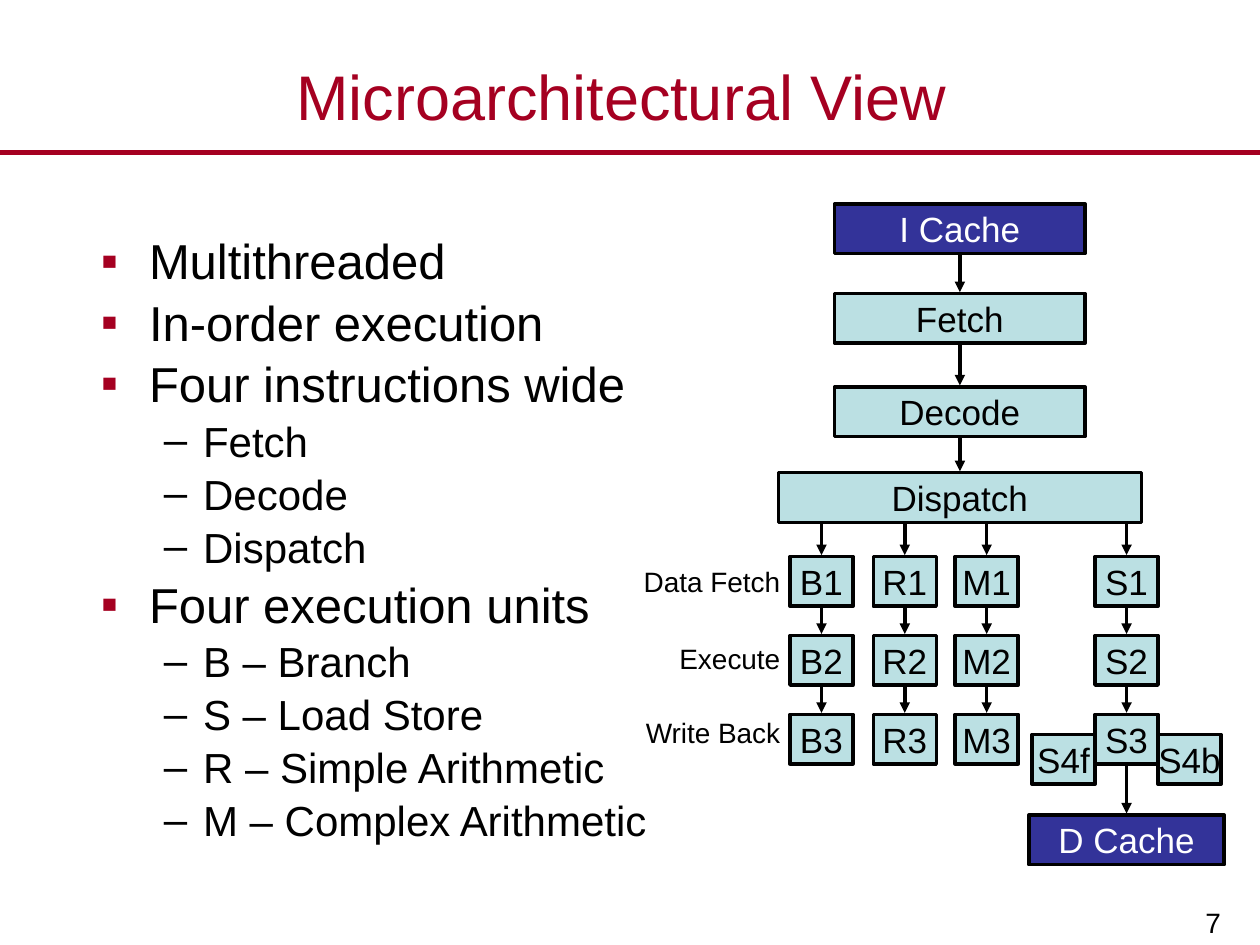
from lxml import etree
from pptx import Presentation
from pptx.dml.color import RGBColor
from pptx.enum.shapes import MSO_CONNECTOR, MSO_SHAPE
from pptx.enum.text import MSO_ANCHOR, MSO_AUTO_SIZE, PP_ALIGN
from pptx.oxml.ns import qn
from pptx.util import Cm, Pt

# Content
TITLE = "Microarchitectural View "
BULLETS = [
    (0, "Multithreaded"), (0, "In-order execution"), (0, "Four instructions wide"),
    (1, "Fetch"), (1, "Decode"), (1, "Dispatch"),
    (0, "Four execution units"),
    (1, "B – Branch"), (1, "S – Load Store"),
    (1, "R – Simple Arithmetic"), (1, "M – Complex Arithmetic"),
]
PAGE_NUMBER = "7"
COLORS = {"red": "A50021", "black": "000000", "white": "FFFFFF",
          "cache": "333399", "stage": "BBE0E3"}
LEVELS = [  # format of each list level, lengths in cm
    {"size": 28, "bullet": "▪", "color": "red", "margin": 0.97, "indent": -0.97},
    {"size": 24, "bullet": "–", "color": "black", "margin": 2.06, "indent": -0.79},
]

# Diagram, lengths in cm
BOX_HEIGHT = 1.0
ARROW_GAP = 0.03
FRONT_CENTER = 19.35
FRONT_STAGES = [  # text, top, width, fill
    ("I Cache", 4.11, 5.05, "cache"), ("Fetch", 5.92, 5.05, "stage"),
    ("Decode", 7.8, 5.05, "stage"), ("Dispatch", 9.53, 7.32, "stage"),
]
UNIT_CENTERS = {"B": 16.56, "R": 18.24, "M": 19.89, "S": 22.71}
UNIT_WIDTH = 1.27
UNIT_TOPS = [11.22 + 1.59 * row for row in range(3)]
STAGE_LABELS = [("Data Fetch", 11.35), ("Execute", 12.9), ("Write Back", 14.4)]
SIDE_BOXES = [("S4f", -1), ("S4b", 1)]
SIDE_TOP = 14.81
DATA_CACHE_TOP = 16.43


def rgb(name):
    return RGBColor.from_string(COLORS[name])


def write_text(paragraph, text, size=20, color="black", align=None, line_spacing=1.0):
    run = paragraph.add_run()
    run.text = text
    run.font.name = "Arial"
    run.font.size = Pt(size)
    run.font.color.rgb = rgb(color)
    paragraph.alignment = align
    paragraph.line_spacing = line_spacing


def place(shape, left, top, width, height):
    shape.left, shape.top = Cm(left), Cm(top)
    shape.width, shape.height = Cm(width), Cm(height)


def add_bullet(paragraph, level):
    properties = paragraph._p.get_or_add_pPr()
    properties.set("marL", str(Cm(level["margin"])))
    properties.set("indent", str(Cm(level["indent"])))
    bullet_color = etree.SubElement(properties, qn("a:buClr"))
    etree.SubElement(bullet_color, qn("a:srgbClr"), val=COLORS[level["color"]])
    etree.SubElement(properties, qn("a:buFont"), typeface="Arial")
    etree.SubElement(properties, qn("a:buChar"), char=level["bullet"])


def add_line(slide, start, end, width=2, color="black", arrow=True):
    line = slide.shapes.add_connector(
        MSO_CONNECTOR.STRAIGHT, *(Cm(value) for value in start + end))
    line.line.width = Pt(width)
    line.line.color.rgb = rgb(color)
    if arrow:
        etree.SubElement(line.line._get_or_add_ln(), qn("a:tailEnd"), type="triangle")
    etree.SubElement(line._element.spPr, qn("a:effectLst"))


def add_down_arrow(slide, center, box_top, next_top):
    add_line(slide, (center, box_top + BOX_HEIGHT + ARROW_GAP),
             (center, next_top - ARROW_GAP))


def add_box(slide, text, center, top, width, fill="stage"):
    box = slide.shapes.add_shape(
        MSO_SHAPE.FLOWCHART_PROCESS, Cm(center - width / 2), Cm(top),
        Cm(width), Cm(BOX_HEIGHT))
    box.shadow.inherit = False
    box.fill.solid()
    box.fill.fore_color.rgb = rgb(fill)
    box.line.color.rgb = rgb("black")
    box.line.width = Pt(2)
    frame = box.text_frame
    frame.word_wrap = False
    frame.vertical_anchor = MSO_ANCHOR.MIDDLE
    write_text(frame.paragraphs[0], text, align=PP_ALIGN.CENTER,
               color="white" if fill == "cache" else "black")


def add_label(slide, text, left, top, width, height, anchor, **text_format):
    frame = slide.shapes.add_textbox(Cm(left), Cm(top), Cm(width), Cm(height)).text_frame
    frame.word_wrap = True
    frame.vertical_anchor = anchor
    write_text(frame.paragraphs[0], text, size=16, align=PP_ALIGN.RIGHT, **text_format)


def add_title_and_list(slide):
    title = slide.shapes.title
    place(title, 0, 0.84, 25.4, 2.18)
    title.text_frame.vertical_anchor = MSO_ANCHOR.MIDDLE
    write_text(title.text_frame.paragraphs[0], TITLE, size=36, color="red",
               align=PP_ALIGN.CENTER)
    add_line(slide, (0, 3.07), (25.4, 3.07), width=3, color="red", arrow=False)

    body = slide.placeholders[1]
    place(body, 1.78, 4.45, 22.56, 12.6)
    frame = body.text_frame
    frame.auto_size = MSO_AUTO_SIZE.NONE
    frame.margin_top = Cm(0.2)
    for index, (depth, text) in enumerate(BULLETS):
        paragraph = frame.add_paragraph() if index else frame.paragraphs[0]
        paragraph.level = depth
        write_text(paragraph, text, size=LEVELS[depth]["size"])
        paragraph.space_before = Pt(1.5)
        add_bullet(paragraph, LEVELS[depth])


def add_diagram(slide):
    # Front end, from instruction cache to dispatch
    for text, top, width, fill in FRONT_STAGES:
        add_box(slide, text, FRONT_CENTER, top, width, fill)
    front_tops = [stage[1] for stage in FRONT_STAGES]
    for top, next_top in zip(front_tops, front_tops[1:]):
        add_down_arrow(slide, FRONT_CENTER, top, next_top)

    # Execution units, one column each
    for unit, center in UNIT_CENTERS.items():
        for row, top in enumerate(UNIT_TOPS, start=1):
            add_box(slide, f"{unit}{row}", center, top, UNIT_WIDTH)
        column_tops = [front_tops[-1]] + UNIT_TOPS
        for top, next_top in zip(column_tops, column_tops[1:]):
            add_down_arrow(slide, center, top, next_top)

    # Load store side boxes and data cache
    store_center = UNIT_CENTERS["S"]
    for text, side in SIDE_BOXES:
        add_box(slide, text, store_center + side * UNIT_WIDTH, SIDE_TOP, UNIT_WIDTH)
    add_box(slide, "D Cache", store_center, DATA_CACHE_TOP, 3.94, "cache")
    add_down_arrow(slide, store_center, UNIT_TOPS[-1], DATA_CACHE_TOP)

    # Stage names beside the rows
    for text, top in STAGE_LABELS:
        add_label(slide, text, 12.7, top, 3.28, 0.84, MSO_ANCHOR.MIDDLE, line_spacing=0.85)


def main():
    presentation = Presentation()
    presentation.slide_width, presentation.slide_height = Cm(25.4), Cm(19.05)
    slide = presentation.slides.add_slide(presentation.slide_layouts[1])
    add_title_and_list(slide)
    add_diagram(slide)
    add_label(slide, PAGE_NUMBER, 19.81, 17.6, 5.05, 1.45, MSO_ANCHOR.BOTTOM)
    presentation.save("out.pptx")


if __name__ == "__main__":
    main()
